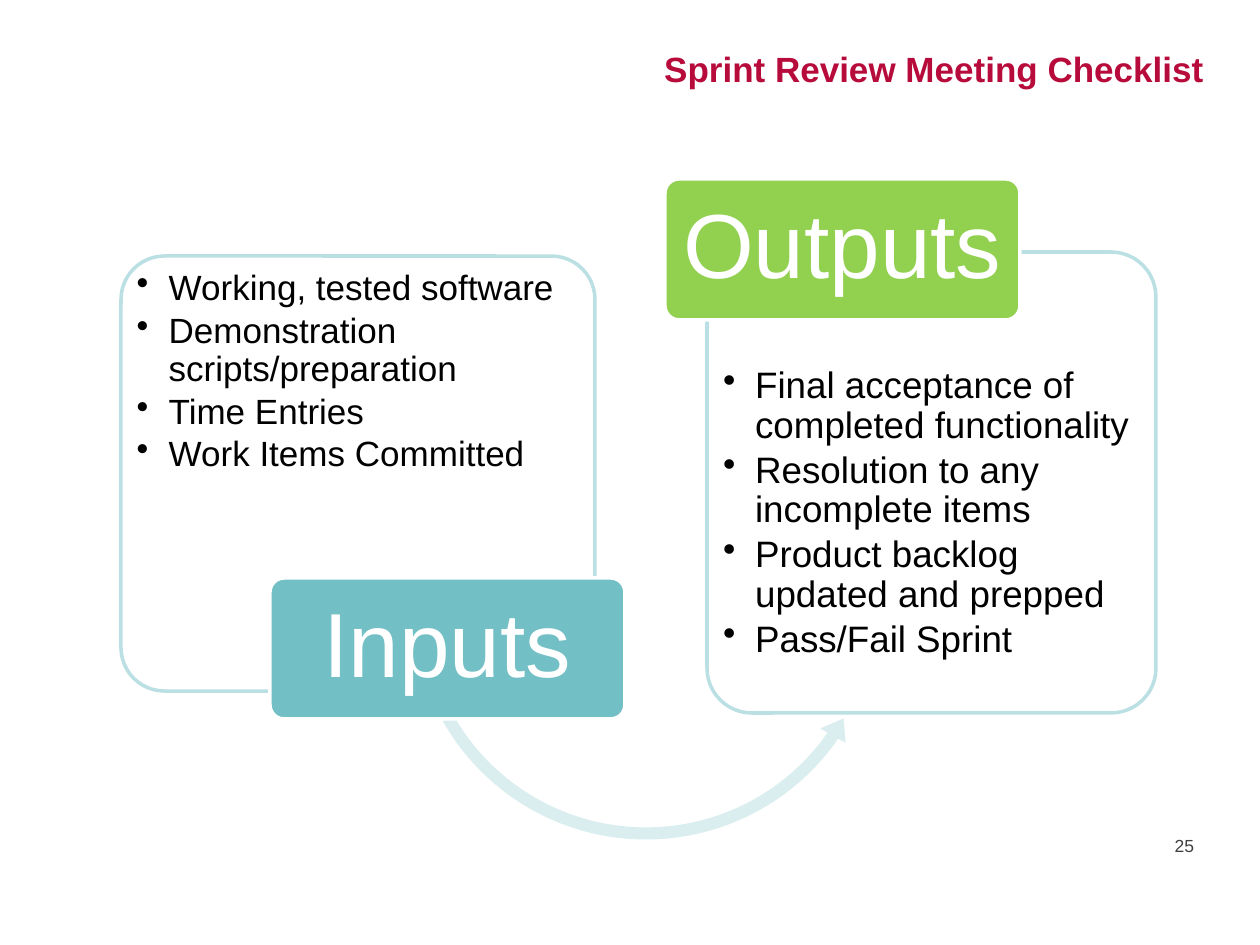
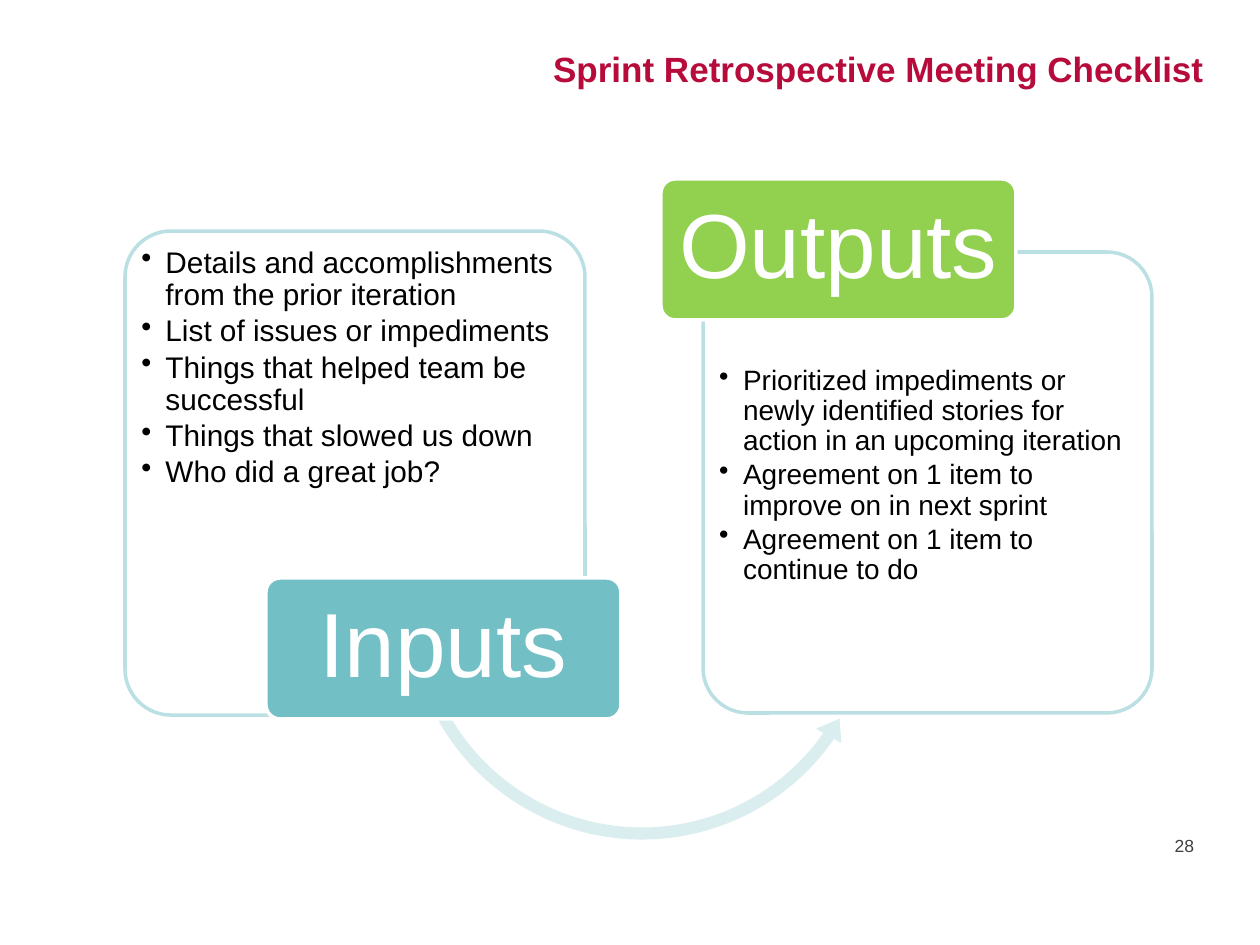
from lxml import etree
from pptx import Presentation
from pptx import util as u
from pptx.dml.color import RGBColor
from pptx.enum import shapes, text
from pptx.oxml.ns import qn

FONT = "Arial"
TITLE_RED = "B70B3B"
NUMBER_GREY = "404040"
BLACK = "000000"
WHITE = "FFFFFF"
PANEL_LINE = "BBE0E3"
ARROW_FILL = "DAEDEF"
INPUT_TEAL = "72BFC5"
OUTPUT_GREEN = "92D050"

ROUNDED = shapes.MSO_SHAPE.ROUNDED_RECTANGLE
CIRCULAR_ARROW = shapes.MSO_SHAPE.LEFT_CIRCULAR_ARROW
ALIGN = text.PP_ALIGN
ANCHOR = text.MSO_ANCHOR
color = RGBColor.from_string


def px(count):
    return u.Emu(round(count * 914400 / 126))


def add_box(slide, kind, frame, lines=(), size=20, ink=BLACK, fill=None, line=None,
            adjust=(0.1,), align=ALIGN.LEFT, anchor=ANCHOR.TOP, insets=(13, 6, 13, 6)):
    place = [px(value) for value in frame]
    if kind is None:
        shape = slide.shapes.add_textbox(*place)
    else:
        shape = slide.shapes.add_shape(kind, *place)
        shape.shadow.inherit = False
        for index, value in enumerate(adjust):
            shape.adjustments[index] = value
        shape.fill.solid()
        shape.fill.fore_color.rgb = color(fill)
        if line:
            shape.line.color.rgb = color(line)
            shape.line.width = u.Pt(2)
        else:
            shape.line.fill.background()
    frame_text = shape.text_frame
    frame_text.word_wrap = True
    frame_text.vertical_anchor = anchor
    (frame_text.margin_left, frame_text.margin_top,
     frame_text.margin_right, frame_text.margin_bottom) = [px(value) for value in insets]
    frame_text.text = "\n".join(lines)
    for paragraph in frame_text.paragraphs:
        paragraph.alignment = align
        for run in paragraph.runs:
            run.font.name = FONT
            run.font.size = u.Pt(size)
            run.font.color.rgb = color(ink)
    return shape


checklists = [
    {
        "title": "Sprint Review Meeting Checklist",
        "number": "25",
        "shift": 0,
        "arrow": (0.025, 3.07, 20.85, 90.27, 0.03),
        "panels": [
            ((121, 256, 474, 435), 20, 32, 2, [
                "Working, tested software",
                "Demonstration scripts/preparation",
                "Time Entries",
                "Work Items Committed",
            ]),
            ((707, 252, 449, 461), 21, 32, 102, [
                "Final acceptance of completed functionality",
                "Resolution to any incomplete items",
                "Product backlog updated and prepped",
                "Pass/Fail Sprint",
            ]),
        ],
    },
    {
        "title": "Sprint Retrospective Meeting Checklist",
        "number": "28",
        "shift": -4,
        "arrow": (0.025, 3.07, 20.89, 90.31, 0.03),
        "panels": [
            ((125, 231, 460, 484), 17, 24, 3, [
                "Details and accomplishments from the prior iteration",
                "List of issues or impediments",
                "Things that helped team be successful",
                "Things that slowed us down",
                "Who did a great job?",
            ]),
            ((703, 252, 449, 461), 16, 24, 101, [
                "Prioritized impediments or newly identified stories for action in an upcoming iteration",
                "Agreement on 1 item to improve on in next sprint",
                "Agreement on 1 item to continue to do",
            ]),
        ],
    },
]
labels = [("Inputs", 270, 578, INPUT_TEAL), ("Outputs", 665, 179, OUTPUT_GREEN)]

presentation = Presentation()
presentation.slide_width = px(1260)
presentation.slide_height = px(945)

for checklist in checklists:
    slide = presentation.slides.add_slide(presentation.slide_layouts[6])
    shift = checklist["shift"]
    title = add_box(slide, None, (472, 42, 745, 53), [checklist["title"]], 20, TITLE_RED,
                    align=ALIGN.RIGHT, anchor=ANCHOR.MIDDLE)
    title.text_frame.paragraphs[0].runs[0].font.bold = True
    add_box(slide, None, (945, 829, 262, 42), [checklist["number"]], 10, NUMBER_GREY,
            align=ALIGN.RIGHT)

    for panel_spec, (label, left, top, fill) in zip(checklist["panels"], labels):
        frame, size, indent, top_inset, items = panel_spec
        panel = add_box(slide, ROUNDED, frame, items, size, fill=WHITE, line=PANEL_LINE,
                        insets=(3, top_inset, 3, 0))
        panel_color = panel.fill._xPr.find(qn("a:solidFill"))[0]
        etree.SubElement(panel_color, qn("a:alpha")).set("val", "90000")
        for paragraph in panel.text_frame.paragraphs:
            paragraph.line_spacing = 0.9
            paragraph.space_after = u.Pt(round(size * 0.14, 1))
            properties = paragraph._p.get_or_add_pPr()
            properties.set("marL", str(px(indent)))
            properties.set("indent", str(-px(indent)))
            etree.SubElement(properties, qn("a:buChar")).set("char", "•")
        if label == "Inputs":
            add_box(slide, CIRCULAR_ARROW, (404 + shift, 364, 484, 484), fill=ARROW_FILL,
                    adjust=checklist["arrow"])
        tab = add_box(slide, ROUNDED, (left + shift, top, 355, 141), [label], 52, WHITE,
                      fill, WHITE, align=ALIGN.CENTER, anchor=ANCHOR.MIDDLE,
                      insets=(4, 4, 4, 4))
        tab.text_frame.paragraphs[0].line_spacing = 0.9

presentation.save("out.pptx")
